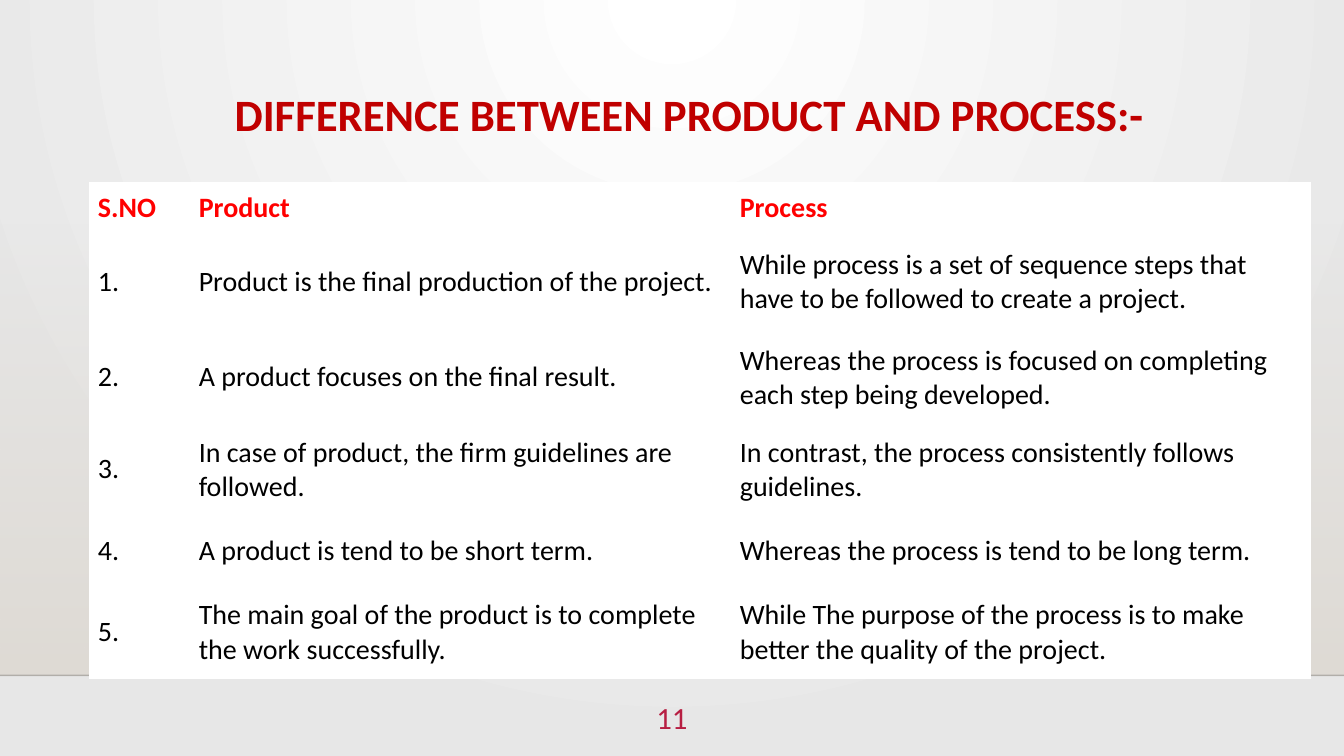
from dataclasses import dataclass
from lxml.etree import SubElement as Sub
from pptx import Presentation
from pptx.dml.color import RGBColor
from pptx.enum.shapes import MSO_CONNECTOR as Conn, MSO_SHAPE as Shape
from pptx.enum.text import MSO_ANCHOR as Anchor, PP_ALIGN as Align
from pptx.oxml.ns import qn
from pptx.util import Pt

WIDE, HIGH = 960, 540
FLOOR = 482.4
COLS = (72, 386.5, 413.5)
ROWS = (34, 70, 66, 60.5, 50.5, 66)


@dataclass
class Pair:
    product: str
    process: str


@dataclass
class Style:
    size: float
    color: str
    bold: bool = False


HEAD = Style(20, "FF0000", True)
BODY = Style(20, "000000")

PAIRS = [
    Pair("Product is the final production of the project.",
         "While process is a set of sequence steps that have to be followed to create a project."),
    Pair("A product focuses on the final result.",
         "Whereas the process is focused on completing each step being developed."),
    Pair("In case of product, the firm guidelines are followed.",
         "In contrast, the process consistently follows guidelines."),
    Pair("A product is tend to be short term.",
         "Whereas the process is tend to be long term."),
    Pair("The main goal of the product is to complete the work successfully.",
         "While The purpose of the process is to make better the quality of the project."),
]


def paint(color, code: str) -> None:
    color.rgb = RGBColor.from_string(code)


def fade(node, percent: int) -> None:
    Sub(node.find(".//" + qn("a:srgbClr")), qn("a:alpha"), val=str(percent * 1000))


def write(frame, text: str, style: Style, align: Align = Align.LEFT) -> None:
    frame.text = text
    frame.word_wrap = True
    line = frame.paragraphs[0]
    line.alignment = align
    font = line.runs[0].font
    font.name, font.size, font.bold = "Calibri", Pt(style.size), style.bold
    paint(font.color, style.color)


def blend(fill, start: str, end: str) -> None:
    fill.gradient()
    for stop, code in zip(fill.gradient_stops, (start, end)):
        paint(stop.color, code)
        stop.position = 0 if stop is fill.gradient_stops[0] else stop.position
    fill.gradient_stops[0].position = 0
    fill.gradient_stops[1].position = 1


def add_back(slide) -> None:
    blend(slide.background.fill, "FFFFFF", "E7E7E7")
    grad = slide.element.find(".//" + qn("a:gradFill"))
    grad.remove(grad.find(qn("a:lin")))
    ring = Sub(grad, qn("a:path"), path="circle")
    Sub(ring, qn("a:fillToRect"), l="43000", t="0", r="43000", b="100000")


def add_floor(slide) -> None:
    top = 159
    band = slide.shapes.add_shape(Shape.RECTANGLE, 0, Pt(top), Pt(WIDE), Pt(FLOOR - top))
    band.shadow.inherit = False
    band.line.fill.background()
    blend(band.fill, "DFDBD5", "DFDBD5")
    band.fill.gradient_angle = 270
    fade(band.element.find(".//" + qn("a:gs")), 0)
    edge = slide.shapes.add_connector(Conn.STRAIGHT, 0, Pt(FLOOR), Pt(WIDE), Pt(FLOOR))
    edge.line.width = Pt(1)
    paint(edge.line.color, "000001")
    fade(edge.element.spPr, 20)
    Sub(edge.element.spPr, qn("a:effectLst"))


def add_title(slide) -> None:
    title = slide.shapes.title
    title.left, title.top, title.width, title.height = Pt(114.5), Pt(63), Pt(756), Pt(83)
    write(title.text_frame, "DIFFERENCE BETWEEN PRODUCT AND PROCESS:-",
          Style(32, "C00000", True), Align.CENTER)
    title.text_frame.vertical_anchor = Anchor.TOP
    title.text_frame.paragraphs[0].line_spacing = 0.9


def add_table(slide) -> None:
    grid = [("S.NO", "Product", "Process")]
    grid += [(f"{num}.", pair.product, pair.process) for num, pair in enumerate(PAIRS, 1)]
    table = slide.shapes.add_table(len(ROWS), len(COLS), Pt(64), Pt(130.5),
                                   Pt(sum(COLS)), Pt(sum(ROWS))).table
    for col, width in zip(table.columns, COLS):
        col.width = Pt(width)
    for row, high, texts in zip(table.rows, ROWS, grid):
        row.height = Pt(high)
        head = texts is grid[0]
        for cell, text in zip(row.cells, texts):
            write(cell.text_frame, text, HEAD if head else BODY)
            cell.vertical_anchor = Anchor.MIDDLE
            cell.margin_left = cell.margin_right = Pt(6)
            cell.margin_top = cell.margin_bottom = Pt(6 if head else 8.75)
            cell.fill.solid()
            paint(cell.fill.fore_color, "FFFFFF")


def add_page(slide) -> None:
    box = slide.shapes.add_textbox(Pt(448), Pt(495.5), Pt(64), Pt(39.5))
    write(box.text_frame, "11", Style(22, "B71E42"), Align.CENTER)


def main() -> None:
    deck = Presentation()
    deck.slide_width, deck.slide_height = Pt(WIDE), Pt(HIGH)
    slide = deck.slides.add_slide(deck.slide_layouts[5])
    add_back(slide)
    add_floor(slide)
    add_title(slide)
    add_page(slide)
    add_table(slide)
    deck.save("out.pptx")


if __name__ == "__main__":
    main()
